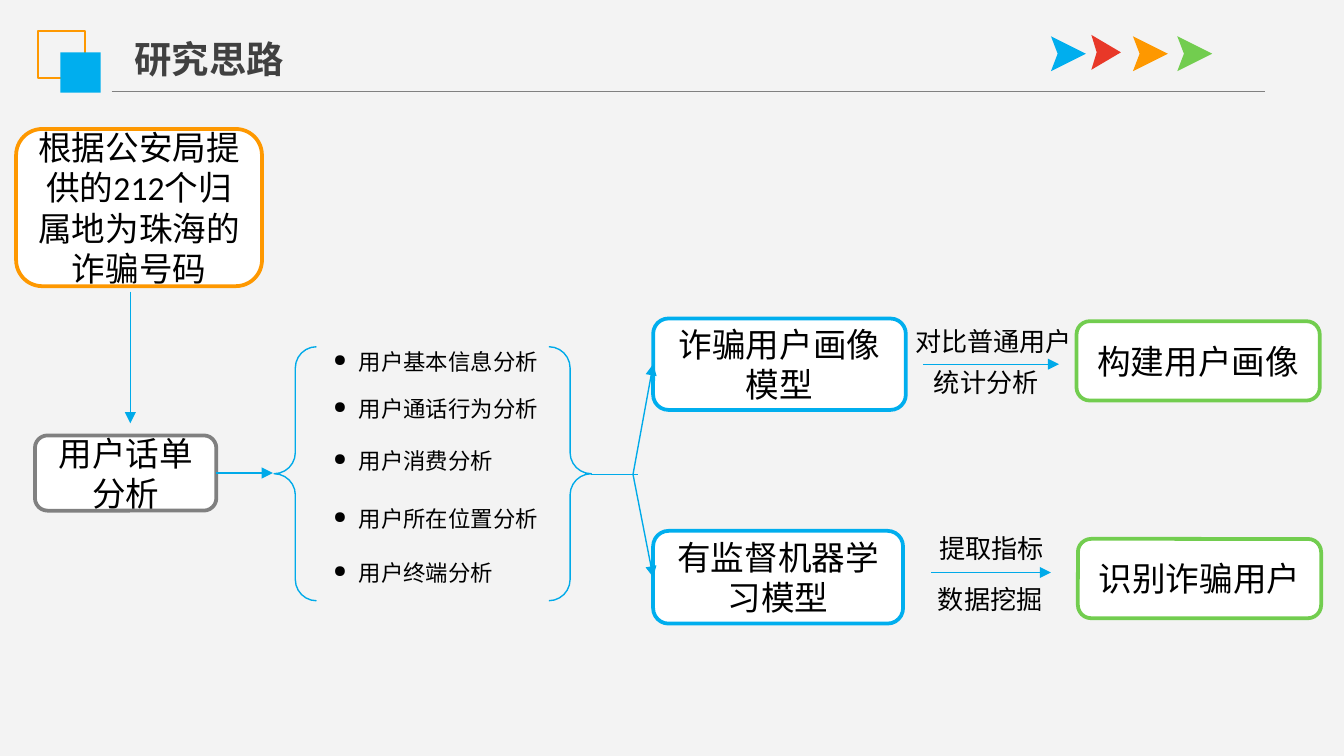
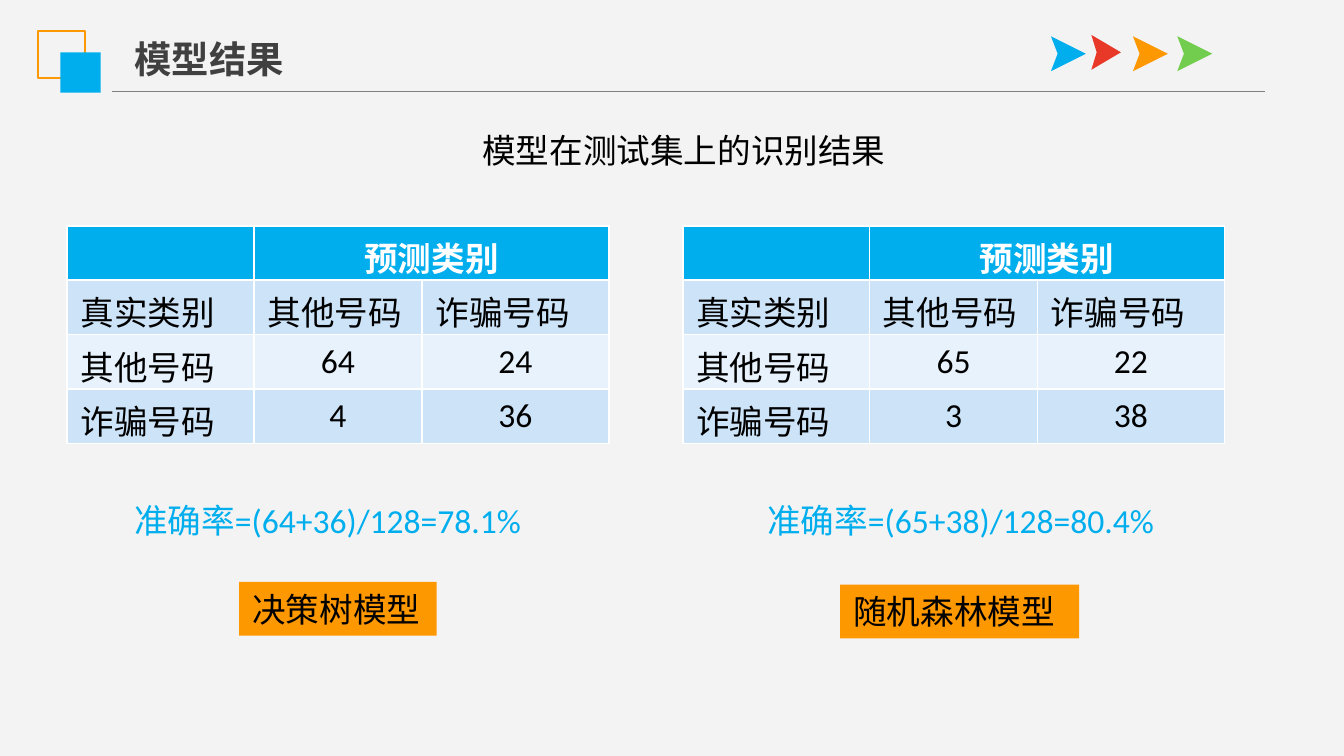
"""Build two slides on fraud-number research: the approach and the model results."""
from pptx import Presentation
from pptx.dml.color import RGBColor
from pptx.enum.shapes import MSO_CONNECTOR as Connector, MSO_SHAPE as Shape
from pptx.enum.text import MSO_ANCHOR as Anchor, MSO_AUTO_SIZE as AutoSize, PP_ALIGN as Align
from pptx.oxml.xmlchemy import OxmlElement
from pptx.util import Inches, Pt

BLUE = RGBColor(0x00, 0xAE, 0xEE)
SKY = RGBColor(0x00, 0xAA, 0xE9)
ORANGE = RGBColor(0xFE, 0x98, 0x00)
RED = RGBColor(0xE8, 0x38, 0x28)
GREEN = RGBColor(0x72, 0xCD, 0x4F)
GRAY = RGBColor(0x80, 0x80, 0x80)
DARK = RGBColor(0x40, 0x40, 0x40)
BLACK = RGBColor(0x00, 0x00, 0x00)
WHITE = RGBColor(0xFF, 0xFF, 0xFF)
PALE = RGBColor(0xF3, 0xF3, 0xF3)
BAND_DARK = RGBColor(0xCC, 0xE3, 0xF8)
BAND_LIGHT = RGBColor(0xE7, 0xF2, 0xFC)
LATIN = "Calibri"
CJK = "Noto Sans CJK SC"


def write(frame, text, size, color=BLACK, bold=False, align=Align.LEFT, font=LATIN):
    paragraph = frame.paragraphs[0]
    paragraph.alignment = align
    run = paragraph.add_run()
    run.text = text
    run.font.size = Pt(size)
    run.font.bold = bold
    run.font.color.rgb = color
    run.font.name = font
    east_asian = OxmlElement("a:ea")
    east_asian.set("typeface", CJK)
    run.font._element.append(east_asian)


def draw_line(slide, start, end, color=SKY, arrow=True):
    points = [Inches(value) for value in (*start, *end)]
    connector = slide.shapes.add_connector(Connector.STRAIGHT, *points)
    connector.line.color.rgb = color
    connector.line.width = Pt(0.75)
    if arrow:
        head = OxmlElement("a:tailEnd")
        head.set("type", "triangle")
        connector.get_or_add_ln().append(head)
    connector.element.spPr.append(OxmlElement("a:effectLst"))
    return connector


presentation = Presentation()
presentation.slide_width = Inches(10)
presentation.slide_height = Inches(10) * 9 // 16
background = presentation.slide_master.background.fill
background.solid()
background.fore_color.rgb = PALE

slides = []
for heading in ("研究思路", "模型结果"):
    slide = presentation.slides.add_slide(presentation.slide_layouts[5])
    slides.append(slide)
    title = slide.shapes.title
    title.left, title.top = Inches(0.9), Inches(0.22)
    title.width, title.height = Inches(1.32), Inches(0.44)
    frame = title.text_frame
    frame.word_wrap = False
    frame.auto_size = AutoSize.NONE
    frame.vertical_anchor = Anchor.TOP
    write(frame, heading, 20, DARK, True, font=CJK)

    draw_line(slide, (0.83, 0.68), (9.41, 0.68), GRAY, arrow=False)
    outline_square = slide.shapes.add_shape(
        Shape.RECTANGLE, Inches(0.28), Inches(0.23), Inches(0.35), Inches(0.35))
    outline_square.shadow.inherit = False
    outline_square.fill.background()
    outline_square.line.color.rgb = ORANGE
    outline_square.line.width = Pt(1)
    solid_square = slide.shapes.add_shape(
        Shape.RECTANGLE, Inches(0.45), Inches(0.39), Inches(0.3), Inches(0.3))
    solid_square.shadow.inherit = False
    solid_square.fill.solid()
    solid_square.fill.fore_color.rgb = BLUE
    solid_square.line.fill.background()

    for left, top, width, notch, color in (
            (7.82, 0.27, 0.26, 0.05, BLUE), (8.12, 0.26, 0.22, 0.04, RED),
            (8.43, 0.27, 0.26, 0.05, ORANGE), (8.76, 0.27, 0.26, 0.05, GREEN)):
        builder = slide.shapes.build_freeform(Inches(left), Inches(top + 0.26))
        builder.add_line_segments([
            (Inches(left + notch), Inches(top + 0.13)), (Inches(left), Inches(top)),
            (Inches(left + width), Inches(top + 0.13))])
        chevron = builder.convert_to_shape()
        chevron.shadow.inherit = False
        chevron.fill.solid()
        chevron.fill.fore_color.rgb = color
        chevron.line.fill.background()

approach, results = slides

brace = approach.shapes.add_shape(
    Shape.DOUBLE_BRACE, Inches(2.04), Inches(2.58), Inches(2.36), Inches(1.89))
brace.shadow.inherit = False
brace.fill.background()
brace.line.color.rgb = SKY
brace.line.width = Pt(0.75)

for top, width, text in (
        (2.59, 1.59, "用户基本信息分析"), (2.94, 1.59, "用户通话行为分析"),
        (3.33, 2.05, "用户消费分析"), (3.76, 2.05, "用户所在位置分析"),
        (4.16, 2.05, "用户终端分析")):
    item = approach.shapes.add_textbox(Inches(2.48), Inches(top), Inches(width), Inches(0.2))
    frame = item.text_frame
    frame.word_wrap = True
    frame.auto_size = AutoSize.SHAPE_TO_FIT_TEXT
    frame.margin_left = frame.margin_right = frame.margin_top = frame.margin_bottom = 0
    properties = frame.paragraphs[0]._p.get_or_add_pPr()
    properties.set("marL", str(Inches(0.19)))
    properties.set("indent", str(-Inches(0.19)))
    for tag, name, value in (("a:buSzPct", "val", "75000"), ("a:buChar", "char", "●")):
        bullet = OxmlElement(tag)
        bullet.set(name, value)
        properties.append(bullet)
    write(frame, text, 12, font=CJK)

boxes = {}
for left, top, width, height, color, text in (
        (0.26, 3.24, 1.35, 0.56, GRAY, "用户话单分析"),
        (4.86, 2.37, 1.88, 0.68, BLUE, "诈骗用户画像模型"),
        (4.86, 3.95, 1.86, 0.69, BLUE, "有监督机器学习模型"),
        (8.01, 2.39, 1.81, 0.59, GREEN, "构建用户画像"),
        (8.02, 4.01, 1.81, 0.59, GREEN, "识别诈骗用户"),
        (0.12, 0.96, 1.83, 1.17, ORANGE, "根据公安局提供的212个归属地为珠海的诈骗号码")):
    box = approach.shapes.add_shape(
        Shape.ROUNDED_RECTANGLE, Inches(left), Inches(top), Inches(width), Inches(height))
    box.shadow.inherit = False
    box.fill.solid()
    box.fill.fore_color.rgb = WHITE
    box.line.color.rgb = color
    box.line.width = Pt(2)
    box.text_frame.word_wrap = True
    box.text_frame.vertical_anchor = Anchor.MIDDLE
    write(box.text_frame, text, 18, align=Align.CENTER)
    boxes[text] = box

draw_line(approach, (0.97, 2.17), (0.97, 3.15))
draw_line(approach, (1.61, 3.52), (2.03, 3.52)).begin_connect(boxes["用户话单分析"], 3)
draw_line(approach, (4.4, 3.53), (4.75, 3.53), arrow=False)
draw_line(approach, (4.71, 3.53), (4.86, 2.71)).end_connect(boxes["诈骗用户画像模型"], 1)
draw_line(approach, (4.71, 3.53), (4.86, 4.3)).end_connect(boxes["有监督机器学习模型"], 1)
draw_line(approach, (6.87, 2.71), (7.88, 2.71))
draw_line(approach, (6.93, 4.26), (7.82, 4.26))

for slide, left, top, width, height, text, size, color, fill in (
        (approach, 6.71, 2.37, 1.45, 0.34, "对比普通用户", 14, BLACK, None),
        (approach, 6.85, 2.68, 1.01, 0.34, "统计分析", 14, BLACK, None),
        (approach, 6.89, 3.91, 1.01, 0.34, "提取指标", 14, BLACK, None),
        (approach, 6.88, 4.29, 1.08, 0.34, "数据挖掘", 14, BLACK, None),
        (results, 3.49, 0.92, 3.4, 0.4, "模型在测试集上的识别结果", 18, BLACK, None),
        (results, 0.9, 3.67, 3.39, 0.4, "准确率=(64+36)/128=78.1%", 18, BLUE, None),
        (results, 5.61, 3.67, 3.11, 0.4, "准确率=(65+38)/128=80.4%", 18, BLUE, None),
        (results, 1.78, 4.33, 1.47, 0.4, "决策树模型", 18, BLACK, ORANGE),
        (results, 6.25, 4.35, 1.78, 0.4, "随机森林模型", 18, BLACK, ORANGE)):
    label = slide.shapes.add_textbox(Inches(left), Inches(top), Inches(width), Inches(height))
    label.text_frame.word_wrap = True
    label.text_frame.auto_size = AutoSize.SHAPE_TO_FIT_TEXT
    if fill:
        label.fill.solid()
        label.fill.fore_color.rgb = fill
    write(label.text_frame, text, size, color)

for left, others, frauds in ((0.5, ("64", "24"), ("4", "36")),
                             (5.08, ("65", "22"), ("3", "38"))):
    table = results.shapes.add_table(
        4, 3, Inches(left), Inches(1.68), Inches(4.03), Inches(1.62)).table
    for column, width in zip(table.columns, (1.39, 1.25, 1.39)):
        column.width = Inches(width)
    table.cell(0, 1).merge(table.cell(0, 2))
    rows = (("", "预测类别", ""), ("真实类别", "其他号码", "诈骗号码"),
            ("其他号码", *others), ("诈骗号码", *frauds))
    fills = (BLUE, BAND_DARK, BAND_LIGHT, BAND_DARK)
    for row_index, (values, fill) in enumerate(zip(rows, fills)):
        header = row_index == 0
        for column_index, value in enumerate(values):
            cell = table.cell(row_index, column_index)
            cell.fill.solid()
            cell.fill.fore_color.rgb = fill
            if value:
                centered = header or value.isdigit()
                write(cell.text_frame, value, 18, WHITE if header else BLACK, header,
                      Align.CENTER if centered else Align.LEFT)

presentation.save("out.pptx")
